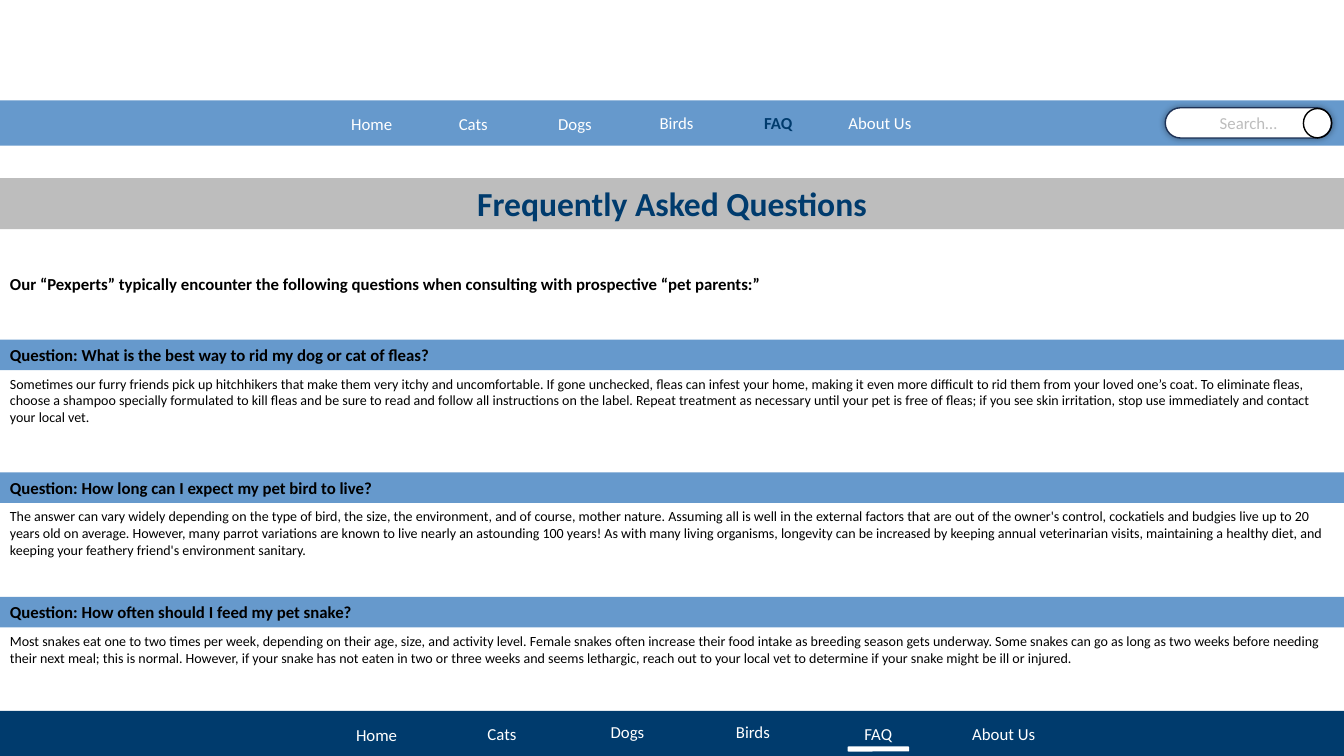
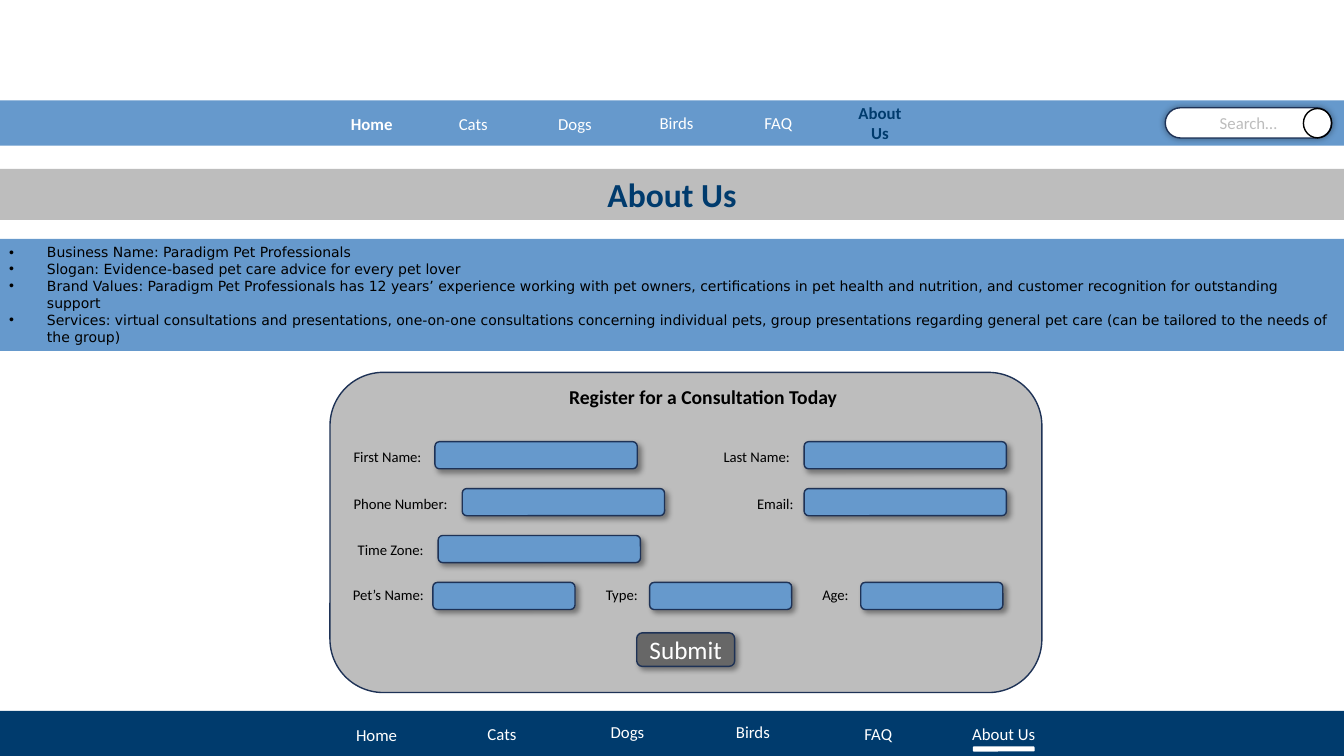
from dataclasses import dataclass

from lxml import etree
from pptx import Presentation
from pptx import util as u
from pptx.dml.color import RGBColor
from pptx.enum import shapes, text
from pptx.oxml import ns

Pt = u.Pt
RECT = shapes.MSO_SHAPE.RECTANGLE
ROUND = shapes.MSO_SHAPE.ROUNDED_RECTANGLE
CIRCLE = shapes.MSO_SHAPE.FLOWCHART_CONNECTOR
LEFT, CENTER = text.PP_ALIGN.LEFT, text.PP_ALIGN.CENTER
TOP, MIDDLE = text.MSO_ANCHOR.TOP, text.MSO_ANCHOR.MIDDLE


@dataclass(frozen=True)
class Theme:
    navy: str = "003B6D"
    blue: str = "6699CC"
    grey: str = "BDBDBD"
    dark_grey: str = "676767"
    outline: str = "1E3256"
    white: str = "FFFFFF"
    black: str = "000000"
    font: str = "Calibri"
    list_font: str = "DejaVu Sans"
    title: float = 24
    button: float = 18
    form_title: float = 14
    body: float = 12
    label: float = 10.5
    small: float = 10


THEME = Theme()
WIDTH, HEIGHT = 960, 540
TABS = ["Home", "Cats", "Dogs", "Birds", "FAQ", "About Us"]
TAB_LEFT = 235.5
HEADER_TOPS = [77, 77, 77, 76.3, 76.3, 76.3]
FOOTER_TOPS = [511.2, 509.8, 509, 509, 510.5, 510.5]
GLOW = (5, 0, 0)
DROP = (4, 3, 45)


def set_all(target, values):
    for name, value in values.items():
        setattr(target, name, value)


def add_shadow(shape, blur, distance, angle):
    effects = shape._element.spPr.find(ns.qn("a:effectLst"))
    outer = etree.SubElement(effects, ns.qn("a:outerShdw"), blurRad=str(Pt(blur)),
                             dist=str(Pt(distance)), dir=str(angle * 60000),
                             algn="ctr", rotWithShape="0")
    color = etree.SubElement(outer, ns.qn("a:srgbClr"), val=THEME.black)
    etree.SubElement(color, ns.qn("a:alpha"), val="40000")


def add_bullet(para, indent):
    properties = para._p.get_or_add_pPr()
    properties.set("marL", str(Pt(indent)))
    properties.set("indent", str(-Pt(indent)))
    etree.SubElement(properties, ns.qn("a:buFont"), typeface="Arial")
    etree.SubElement(properties, ns.qn("a:buChar"), char="•")


class Site:
    def __init__(self, theme):
        self.theme = theme
        self.deck = Presentation()
        set_all(self.deck, {"slide_width": Pt(WIDTH), "slide_height": Pt(HEIGHT)})
        self.page = None

    def place(self, item, left, top, width, height):
        set_all(item, {"left": Pt(left), "top": Pt(top),
                       "width": Pt(width), "height": Pt(height)})

    def add_text(self, item, lines, size, color, bold=False, align=LEFT,
                 anchor=TOP, font=None, indent=None):
        frame = item.text_frame
        set_all(frame, {"word_wrap": True, "vertical_anchor": anchor,
                        "auto_size": text.MSO_AUTO_SIZE.NONE})
        for index, line in enumerate(lines):
            para = frame.add_paragraph() if index else frame.paragraphs[0]
            para.alignment = align
            if indent:
                add_bullet(para, indent)
            span = para.add_run()
            span.text = line
            set_all(span.font, {"name": font or self.theme.font,
                                "size": Pt(size), "bold": bold})
            span.font.color.rgb = RGBColor.from_string(color)

    def shape(self, box, fill=None, kind=RECT, line=None, shadow=None):
        item = self.page.shapes.add_shape(kind, *map(Pt, box))
        item.shadow.inherit = False
        self.paint(item, fill)
        if line:
            item.line.color.rgb = RGBColor.from_string(line)
            item.line.width = Pt(1)
        else:
            item.line.fill.background()
        if shadow:
            add_shadow(item, *shadow)
        return item

    def paint(self, item, fill):
        if fill:
            item.fill.solid()
            item.fill.fore_color.rgb = RGBColor.from_string(fill)
        else:
            item.fill.background()

    def caption(self, box, words, fill, size, color, bold=False, **look):
        """Shape with one line of text in its middle."""
        item = self.shape(box, fill, **look)
        self.add_text(item, [words], size, color, bold, CENTER, MIDDLE)
        return item

    def textbox(self, box, words, size, bold=False, align=LEFT):
        item = self.page.shapes.add_textbox(*map(Pt, box))
        self.add_text(item, [words], size, self.theme.black, bold, align)

    def tabs(self, step, tops, width, height, fill, styles):
        for index, (name, top) in enumerate(zip(TABS, tops)):
            color, bold = styles.get(name, (self.theme.white, False))
            self.caption((TAB_LEFT + step * index, top, width, height),
                         name, fill, self.theme.body, color, bold)

    def search_field(self):
        t = self.theme
        field = self.caption((832.3, 77, 118.8, 21.6), "Search…", t.white, t.body,
                             t.grey, kind=ROUND, line=t.outline, shadow=GLOW)
        field.adjustments[0] = 0.5
        self.shape((931, 77.5, 20.2, 21), kind=CIRCLE, line=t.black)

    def new_page(self, title, title_top, active, bold_tabs=()):
        t = self.theme
        self.page = self.deck.slides.add_slide(self.deck.slide_layouts[5])
        heading = self.page.shapes.title
        self.place(heading, 0, title_top, WIDTH, 36.3)
        self.paint(heading, t.grey)
        self.add_text(heading, [title], t.title, t.navy, True, CENTER)

        self.shape((0, 507.8, WIDTH, 32.2), t.navy)
        self.shape((0, 71.8, WIDTH, 32.2), t.blue)
        styles = {name: (t.white, True) for name in bold_tabs}
        styles[active] = (t.navy, True)
        self.tabs(72.6, HEADER_TOPS, 60, 22.5, t.blue, styles)
        self.tabs(89.6, FOOTER_TOPS, 67, 28, t.navy, {})
        underline_left = TAB_LEFT + 89.6 * TABS.index(active) + 11.5
        self.shape((underline_left, 533.2, 44, 3.6), t.white, kind=ROUND)
        self.search_field()

    def question(self, top, question, answer, answer_height):
        t = self.theme
        band = self.shape((0, top, WIDTH, 21.8), t.blue)
        self.add_text(band, ["Question: " + question], t.body, t.black, True)
        self.textbox((0, top + 21.8, WIDTH, answer_height), answer, t.small)

    def bullets(self, box, lines):
        t = self.theme
        item = self.shape(box, t.blue)
        self.add_text(item, lines, t.small, t.black, font=t.list_font, indent=27)

    def form_field(self, label, label_box, field_box):
        t = self.theme
        self.caption(label_box, label + ": ", t.grey, t.label, t.black)
        self.shape(field_box, t.blue, kind=ROUND, line=t.outline, shadow=DROP)

    def form_row(self, top, fields, field_width, label_height, overlap=0):
        """Each field is its label, the label's width and the field's left edge."""
        for label, label_width, left in fields:
            self.form_field(label,
                            (left + overlap - label_width, top + 1.4, label_width, label_height),
                            (left, top, field_width, 19.4))


QUESTIONS = [
    (242.6, "What is the best way to rid my dog or cat of fleas?",
     "Sometimes our furry friends pick up hitchhikers that make them very itchy and uncomfortable. "
     "If gone unchecked, fleas can infest your home, making it even more difficult to rid them from "
     "your loved one’s coat. To eliminate fleas, choose a shampoo specially formulated to kill fleas "
     "and be sure to read and follow all instructions on the label. Repeat treatment as necessary "
     "until your pet is free of fleas; if you see skin irritation, stop use immediately and contact "
     "your local vet.", 43.6),
    (337.5, "How long can I expect my pet bird to live?",
     "The answer can vary widely depending on the type of bird, the size, the environment, and of "
     "course, mother nature. Assuming all is well in the external factors that are out of the owner's "
     "control, cockatiels and budgies live up to 20 years old on average. However, many parrot "
     "variations are known to live nearly an astounding 100 years! As with many living organisms, "
     "longevity can be increased by keeping annual veterinarian visits, maintaining a healthy diet, "
     "and keeping your feathery friend's environment sanitary.", 43.6),
    (426.3, "How often should I feed my pet snake?",
     "Most snakes eat one to two times per week, depending on their age, size, and activity level. "
     "Female snakes often increase their food intake as breeding season gets underway. Some snakes "
     "can go as long as two weeks before needing their next meal; this is normal. However, if your "
     "snake has not eaten in two or three weeks and seems lethargic, reach out to your local vet to "
     "determine if your snake might be ill or injured.", 31.5),
]

ABOUT = [
    "Business Name: Paradigm Pet Professionals",
    "Slogan: Evidence-based pet care advice for every pet lover",
    "Brand Values: Paradigm Pet Professionals has 12 years’ experience working with pet owners, "
    "certifications in pet health and nutrition, and customer recognition for outstanding support",
    "Services: virtual consultations and presentations, one-on-one consultations concerning "
    "individual pets, group presentations regarding general pet care (can be tailored to the needs "
    "of the group)",
]

CONTACT_ROWS = [
    [("First Name", 65.5, 310.7), ("Last Name", 65.5, 574.4)],
    [("Phone Number", 85.7, 330.2), ("Email", 41.2, 574.4)],
    [("Time Zone", 65.5, 313)],
]
PET_ROW = [("Pet’s Name", 66.5, 309.2), ("Type", 40.3, 464), ("Age", 36.7, 614.8)]


def build_faq(site):
    site.new_page("Frequently Asked Questions", 127.3, "FAQ")
    site.textbox((0, 191.8, WIDTH, 21.8),
                 "Our “Pexperts” typically encounter the following questions when consulting "
                 "with prospective “pet parents:”", THEME.body, True)
    for question in QUESTIONS:
        site.question(*question)


def build_about(site):
    site.new_page("About Us", 120.7, "About Us", bold_tabs=["Home"])
    site.bullets((-0.5, 170.7, WIDTH + 0.5, 80), ABOUT)
    site.shape((235.7, 266, 508.5, 228.7), THEME.grey, kind=ROUND, line=THEME.outline)
    site.textbox((394.3, 271.4, 216, 24.2), "Register for a Consultation Today",
                 THEME.form_title, True, CENTER)
    first_top, row_step = 315.5, 33.5
    for index, fields in enumerate(CONTACT_ROWS):
        site.form_row(first_top + row_step * index, fields, 144.5, 18)
    site.form_row(first_top + row_step * len(CONTACT_ROWS), PET_ROW, 101.5, 14.4, 1.5)
    site.caption((454.8, 452, 70, 24), "Submit", THEME.dark_grey, THEME.button,
                 THEME.white, kind=ROUND, line=THEME.outline, shadow=DROP)


def main():
    site = Site(THEME)
    build_faq(site)
    build_about(site)
    site.deck.save("out.pptx")


if __name__ == "__main__":
    main()
